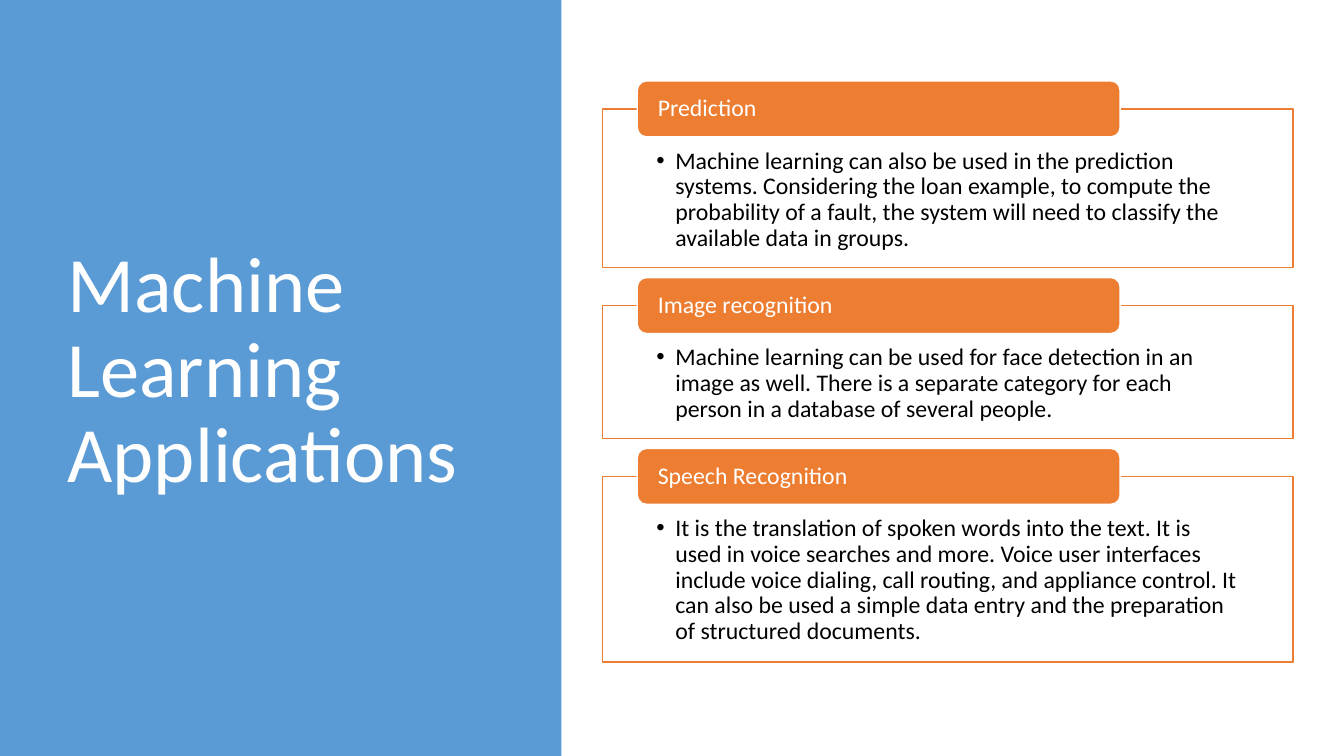
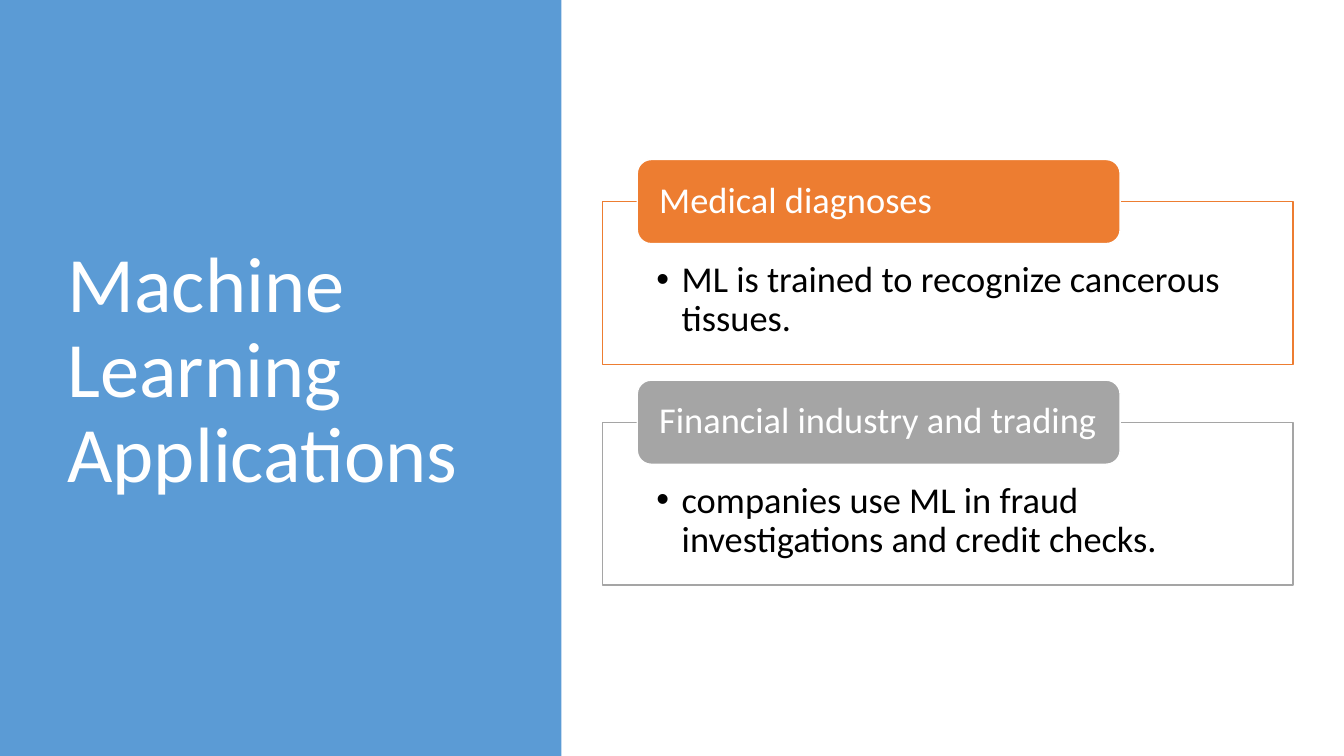
from lxml.etree import SubElement
from pptx import Presentation
from pptx.dml.color import RGBColor
from pptx.enum.shapes import MSO_SHAPE as Kind
from pptx.enum.text import MSO_ANCHOR as Anchor, PP_ALIGN as Align
from pptx.oxml.ns import qn
from pptx.util import Cm, Pt

FONT = "Calibri"
BLUE, ORANGE, GREY = "5B9BD5", "ED7D31", "A5A5A5"
WHITE, BLACK = "FFFFFF", "000000"
TITLE = "Machine Learning Applications"


def box(slide, kind, area, fill, line=None):
    """Add a filled shape; area is left, top, width, height in cm."""
    shape = slide.shapes.add_shape(kind, *map(Cm, area))
    shape.shadow.inherit = False
    shape.fill.solid()
    shape.fill.fore_color.rgb = RGBColor.from_string(fill)
    if line:
        shape.line.color.rgb = RGBColor.from_string(line)
        shape.line.width = Pt(1)
    else:
        shape.line.fill.background()
    return shape


def write(shape, text, size, color=WHITE, anchor=Anchor.MIDDLE,
          inset=(0.25, 0.13, 0.25, 0.13), bullet=0):
    """Fill a shape with text; inset and bullet indent are in cm."""
    frame = shape.text_frame
    frame.word_wrap = True
    frame.vertical_anchor = anchor
    (frame.margin_left, frame.margin_top,
     frame.margin_right, frame.margin_bottom) = map(Cm, inset)
    para = frame.paragraphs[0]
    para.alignment = Align.LEFT
    para.line_spacing = 0.9
    run = para.add_run()
    run.text = text
    run.font.name = FONT
    run.font.size = Pt(size)
    run.font.color.rgb = RGBColor.from_string(color)
    if bullet:
        props = para._p.get_or_add_pPr()
        props.set("marL", str(Cm(bullet)))
        props.set("indent", str(-Cm(bullet)))
        SubElement(props, qn("a:buFont"), typeface="Arial")
        SubElement(props, qn("a:buChar"), char="•")


# Each card: heading, body, panel height, colour
pages = [
    dict(top=2.04, tab=1.41, gap=0.25, size=17, pad=(1, 0.33), bullet=0.48,
         cards=[
             ("Prediction",
              "Machine learning can also be used in the prediction systems. "
              "Considering the loan example, to compute the probability of a "
              "fault, the system will need to classify the available data in "
              "groups.", 4, ORANGE),
             ("Image recognition",
              "Machine learning can be used for face detection in an image as "
              "well. There is a separate category for each person in a "
              "database of several people.", 3.35, ORANGE),
             ("Speech Recognition",
              "It is the translation of spoken words into the text. It is used "
              "in voice searches and more. Voice user interfaces include voice "
              "dialing, call routing, and appliance control. It can also be "
              "used a simple data entry and the preparation of structured "
              "documents.", 4.68, ORANGE),
         ]),
    dict(top=4.02, tab=2.12, gap=0.4, size=26, pad=(1.5, 0.5), bullet=0.64,
         cards=[
             ("Medical diagnoses",
              "ML is trained to recognize cancerous tissues.", 4.1, ORANGE),
             ("Financial industry and trading",
              "companies use ML in fraud investigations and credit checks.",
              4.1, GREY),
         ]),
]

deck = Presentation()
deck.slide_width, deck.slide_height = Cm(33.87), Cm(19.05)

for page in pages:
    slide = deck.slides.add_slide(deck.slide_layouts[6])
    box(slide, Kind.RECTANGLE, (0, 0, 14.15, 19.05), BLUE)
    title = slide.shapes.add_textbox(Cm(1.45), Cm(1.73), Cm(10.57), Cm(15.29))
    write(title, TITLE, 56)

    top, tab, size = page["top"], page["tab"], page["size"]
    above, below = page["pad"]
    for head, body, height, color in page["cards"]:
        start = top + tab / 2  # the tab straddles the panel's top edge
        panel = box(slide, Kind.RECTANGLE, (15.19, start, 17.4, height),
                    WHITE, color)
        write(panel, body, size, BLACK, Anchor.TOP,
              (1.35, above, 1.35, below), page["bullet"])
        label = box(slide, Kind.ROUNDED_RECTANGLE, (16.06, top, 12.17, tab),
                    color, WHITE)
        write(label, head, size, inset=(0.45, 0, 0.45, 0))
        top = start + height + page["gap"]

deck.save("out.pptx")
